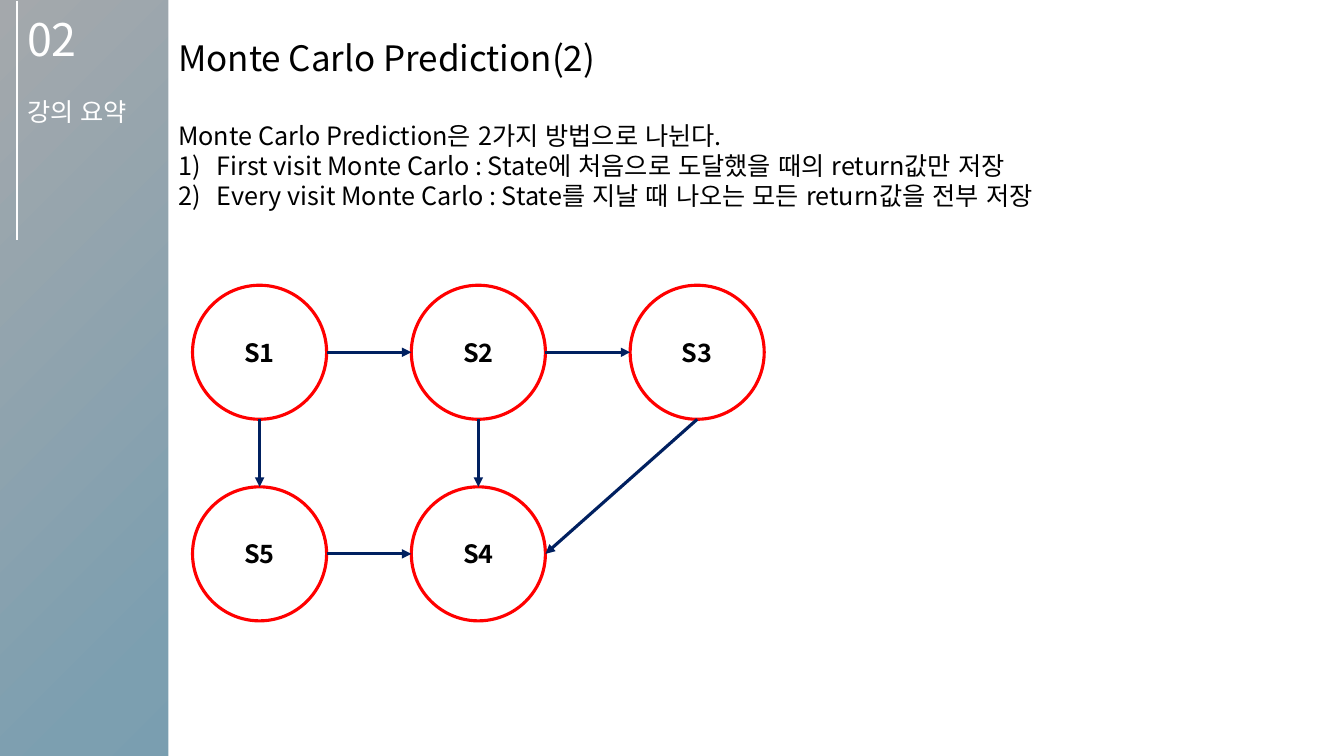
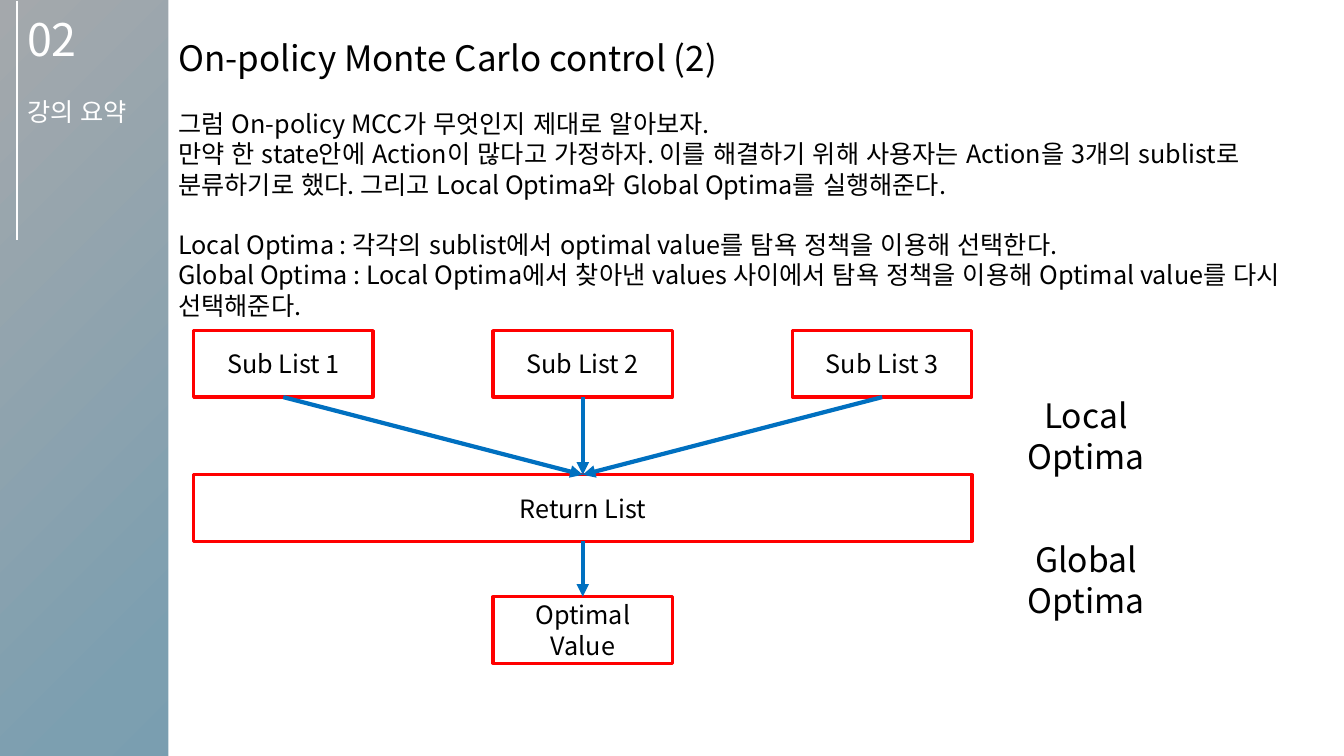
from dataclasses import dataclass

import lxml.etree
import pptx
import pptx.dml.color
import pptx.enum.shapes
import pptx.enum.text
import pptx.oxml
import pptx.oxml.ns
import pptx.util

Inches = pptx.util.Inches
Pt = pptx.util.Pt
qn = pptx.oxml.ns.qn
SHAPES = pptx.enum.shapes.MSO_SHAPE
MIDDLE = pptx.enum.text.MSO_ANCHOR.MIDDLE
CENTER = pptx.enum.text.PP_ALIGN.CENTER


@dataclass(frozen=True)
class Theme:
    """Colours, type sizes and line widths of the deck."""
    font: str = "Noto Sans CJK KR"
    white: str = "FFFFFF"
    black: str = "000000"
    outline: str = "FF0000"
    state_arrow: str = "002060"
    flow_arrow: str = "0070C0"
    backdrop: tuple = ((0, "A4A8AC"), (39, "7C9FB0"), (100, "4990B1"))
    number: int = 32
    title: int = 25
    stage: int = 24
    body: int = 18
    leading: float = 1.2
    rule_width: float = 1.5
    line_width: float = 2.25
    flow_width: float = 3


THEME = Theme()
BODY_LINE = THEME.body * THEME.leading
TITLE_LINE = THEME.title * THEME.leading


def rgb(value):
    """Turn a hex string into a colour."""
    return pptx.dml.color.RGBColor.from_string(value)


def set_backdrop(master):
    """Give every slide the radial gradient that spreads from the top left."""
    master.background.fill.solid()
    properties = master.element.find(".//" + qn("p:bgPr"))
    stops = "".join(f'<a:gs pos="{pos * 1000}"><a:srgbClr val="{color}"/></a:gs>'
                    for pos, color in THEME.backdrop)
    gradient = pptx.oxml.parse_xml(
        f'<a:gradFill {pptx.oxml.ns.nsdecls("a")} rotWithShape="1">'
        f'<a:gsLst>{stops}</a:gsLst><a:path path="circle">'
        '<a:fillToRect r="100000" b="100000"/></a:path></a:gradFill>')
    properties.replace(properties[0], gradient)


def write(paragraph, text, size, color=THEME.black, bold=False, before=0):
    """Add one run to a paragraph and set its spacing."""
    paragraph.line_spacing = Pt(size * THEME.leading)
    paragraph.space_before = Pt(before)
    run = paragraph.add_run()
    run.text = text
    run.font.size = Pt(size)
    run.font.bold = bold
    run.font.name = THEME.font
    run.font.color.rgb = rgb(color)
    properties = run.font._element
    properties.set("lang", "ko-KR")
    east_asian = lxml.etree.Element(qn("a:ea"), typeface=THEME.font)
    properties.find(qn("a:latin")).addnext(east_asian)


def number(paragraph):
    """Number a paragraph as 1), 2) with a hanging indent."""
    properties = paragraph._p.get_or_add_pPr()
    properties.set("marL", str(Inches(0.38)))
    properties.set("indent", str(-Inches(0.38)))
    lxml.etree.SubElement(properties, qn("a:buAutoNum"), type="arabicParenR")


def text_frame(slide, box):
    """Add a wrapping text box and return its frame."""
    frame = slide.shapes.add_textbox(*map(Inches, box)).text_frame
    frame.word_wrap = True
    return frame


def block(slide, box, text="", kind=SHAPES.RECTANGLE, size=THEME.body,
          bold=False, outline=None):
    """Add a white shape with a centred label."""
    shape = slide.shapes.add_shape(kind, *map(Inches, box))
    shape.shadow.inherit = False
    shape.fill.solid()
    shape.fill.fore_color.rgb = rgb(THEME.white)
    if outline:
        shape.line.color.rgb = rgb(outline)
        shape.line.width = Pt(THEME.line_width)
    else:
        shape.line.fill.background()
    if text:
        frame = shape.text_frame
        frame.word_wrap = True
        frame.vertical_anchor = MIDDLE
        frame.paragraphs[0].alignment = CENTER
        write(frame.paragraphs[0], text, size, bold=bold)
    return shape


def line(slide, start, end, color, width, arrow=True):
    """Draw a straight line, with an arrowhead at its end if wanted."""
    connector = slide.shapes.add_connector(
        pptx.enum.shapes.MSO_CONNECTOR.STRAIGHT, *start, *end)
    connector.line.color.rgb = rgb(color)
    connector.line.width = Pt(width)
    if arrow:
        lxml.etree.SubElement(connector.line._get_or_add_ln(), qn("a:tailEnd"),
                              type="triangle")
    lxml.etree.SubElement(connector._element.spPr, qn("a:effectLst"))


def side(shape, name):
    """Return the middle of one side of a shape."""
    across, down = {"top": (0.5, 0), "bottom": (0.5, 1),
                    "left": (0, 0.5), "right": (1, 0.5)}[name]
    return (int(shape.left + shape.width * across),
            int(shape.top + shape.height * down))


def sidebar(slide, box):
    """Place the section number and name beside a vertical rule."""
    left, top, width, height = box
    line(slide, (Inches(left), Inches(top + 0.01)),
         (Inches(left), Inches(top + 2.38)),
         THEME.white, THEME.rule_width, arrow=False)
    frame = text_frame(slide, (left, top, width, height))
    frame.vertical_anchor = MIDDLE
    write(frame.paragraphs[0], "02", THEME.number, THEME.white)
    write(frame.add_paragraph(), "강의 요약", THEME.body, THEME.white,
          before=BODY_LINE)


def explanation(slide, box, title, paragraphs):
    """Write the title and body; each paragraph is (text, gap, numbered)."""
    frame = text_frame(slide, box)
    frame.margin_top = Inches(0.05) + Pt(BODY_LINE)
    write(frame.paragraphs[0], title, THEME.title)
    for text, gap, numbered in paragraphs:
        paragraph = frame.add_paragraph()
        write(paragraph, text, THEME.body, before=gap)
        if numbered:
            number(paragraph)


def state_graph(slide, box):
    """Draw the five states and the moves between them."""
    left, top, width, height = box
    diameter = 1.33
    column_step, row_step = (width - diameter) / 2, height - diameter
    cells = {"S1": (0, 0), "S2": (1, 0), "S3": (2, 0), "S4": (1, 1), "S5": (0, 1)}
    states = {
        name: block(slide, (left + column * column_step, top + row * row_step,
                            diameter, diameter),
                    name, SHAPES.OVAL, bold=True, outline=THEME.outline)
        for name, (column, row) in cells.items()}
    moves = (("S1", "right", "S2", "left"), ("S1", "bottom", "S5", "top"),
             ("S3", "bottom", "S4", "right"), ("S2", "bottom", "S4", "top"),
             ("S5", "right", "S4", "left"), ("S2", "right", "S3", "left"))
    for origin, leaving, target, entering in moves:
        line(slide, side(states[origin], leaving), side(states[target], entering),
             THEME.state_arrow, THEME.line_width)


def optima_flow(slide, box):
    """Draw sublists flowing into the return list and the optimal value."""
    left, top, width, height = box
    item_width, item_height = 1.78, 0.66
    column_step = (width - item_width) / 2
    value_top = top + height - item_height
    sublists = [
        block(slide, (left + i * column_step, top, item_width, item_height),
              f"Sub List {i + 1}", outline=THEME.outline) for i in range(3)]
    returns = block(slide, (left, top + 1.43, width, item_height),
                    "Return List", outline=THEME.outline)
    optimal = block(slide, (left + column_step, value_top, item_width, item_height),
                    "Optimal Value", outline=THEME.outline)
    for origin, target in [(sublist, returns) for sublist in sublists] + [
            (returns, optimal)]:
        line(slide, side(origin, "bottom"), side(target, "top"),
             THEME.flow_arrow, THEME.flow_width)


def stage_labels(slide, box):
    """Name the two stages beside the flow."""
    left, top, width, height = box
    for i, stage in enumerate(("Local Optima", "Global Optima")):
        block(slide, (left, top + i * 1.43, width, height), stage, size=THEME.stage)


def lecture_slide(deck, title, paragraphs, text_height):
    """Add a slide with the shared panel, sidebar and explanation."""
    slide = deck.slides.add_slide(deck.slide_layouts[6])
    block(slide, (1.67, 0, 11.66, 7.5))
    sidebar(slide, (0.17, 0, 1.4, 1.37))
    explanation(slide, (1.67, 0.01, 11.66, text_height), title, paragraphs)
    return slide


def main():
    """Build and save the deck."""
    deck = pptx.Presentation()
    deck.slide_width, deck.slide_height = Inches(13.33), Inches(7.5)
    set_backdrop(deck.slide_master)

    prediction = lecture_slide(deck, "Monte Carlo Prediction(2)", (
        ("Monte Carlo Prediction은 2가지 방법으로 나뉜다.", TITLE_LINE, False),
        ("First visit Monte Carlo : State에 처음으로 도달했을 때의 return값만 저장",
         0, True),
        ("Every visit Monte Carlo : State를 지날 때 나오는 모든 return값을 전부 저장",
         0, True)), 2.15)
    state_graph(prediction, (1.91, 2.83, 5.67, 3.33))

    control = lecture_slide(deck, "On-policy Monte Carlo control (2)", (
        ("그럼 On-policy MCC가 무엇인지 제대로 알아보자.", BODY_LINE, False),
        ("만약 한 state안에 Action이 많다고 가정하자. 이를 해결하기 위해 사용자는 "
         "Action을 3개의 sublist로 분류하기로 했다. 그리고 Local Optima와 "
         "Global Optima를 실행해준다.", 0, False),
        ("Local Optima : 각각의 sublist에서 optimal value를 탐욕 정책을 이용해 "
         "선택한다.", BODY_LINE, False),
        ("Global Optima : Local Optima에서 찾아낸 values 사이에서 탐욕 정책을 이용해 "
         "Optimal value를 다시 선택해준다.", 0, False)), 3.25)
    optima_flow(control, (1.92, 3.28, 7.72, 3.3))
    stage_labels(control, (9.88, 3.99, 1.78, 0.66))

    deck.save("out.pptx")


main()
